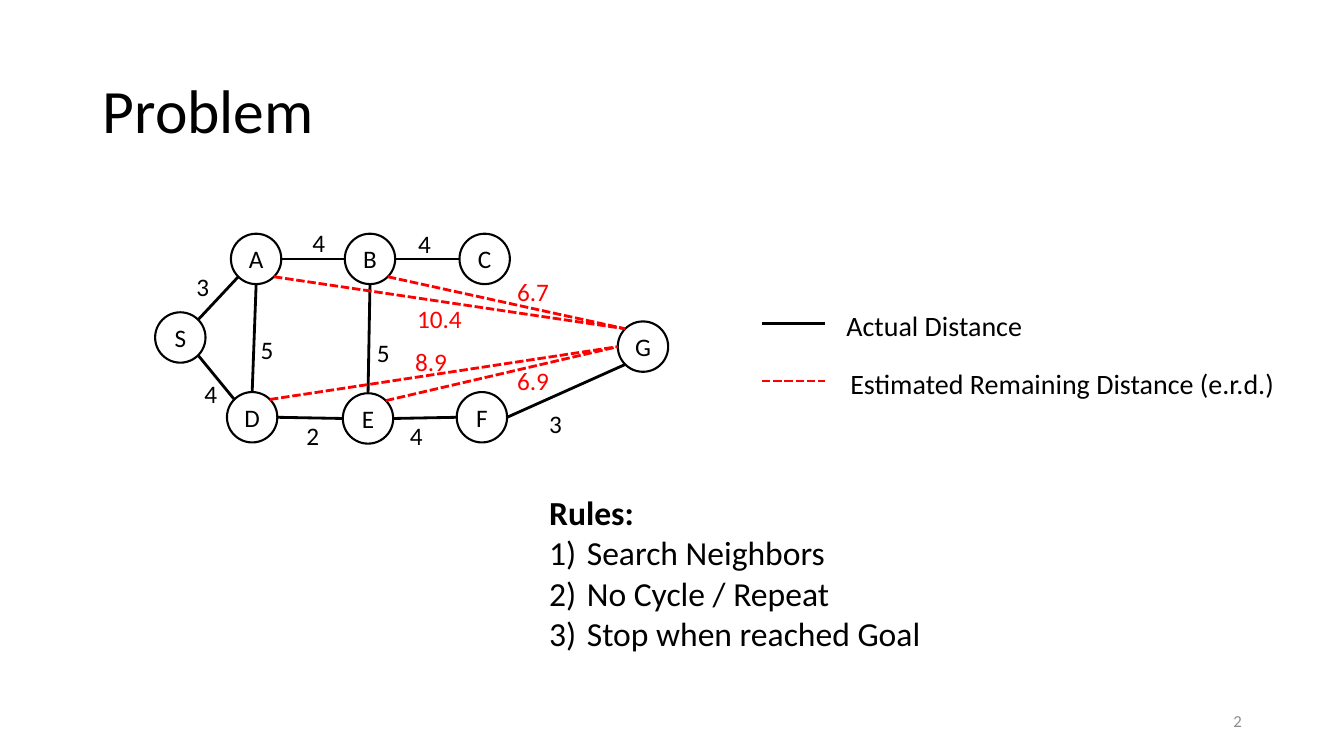
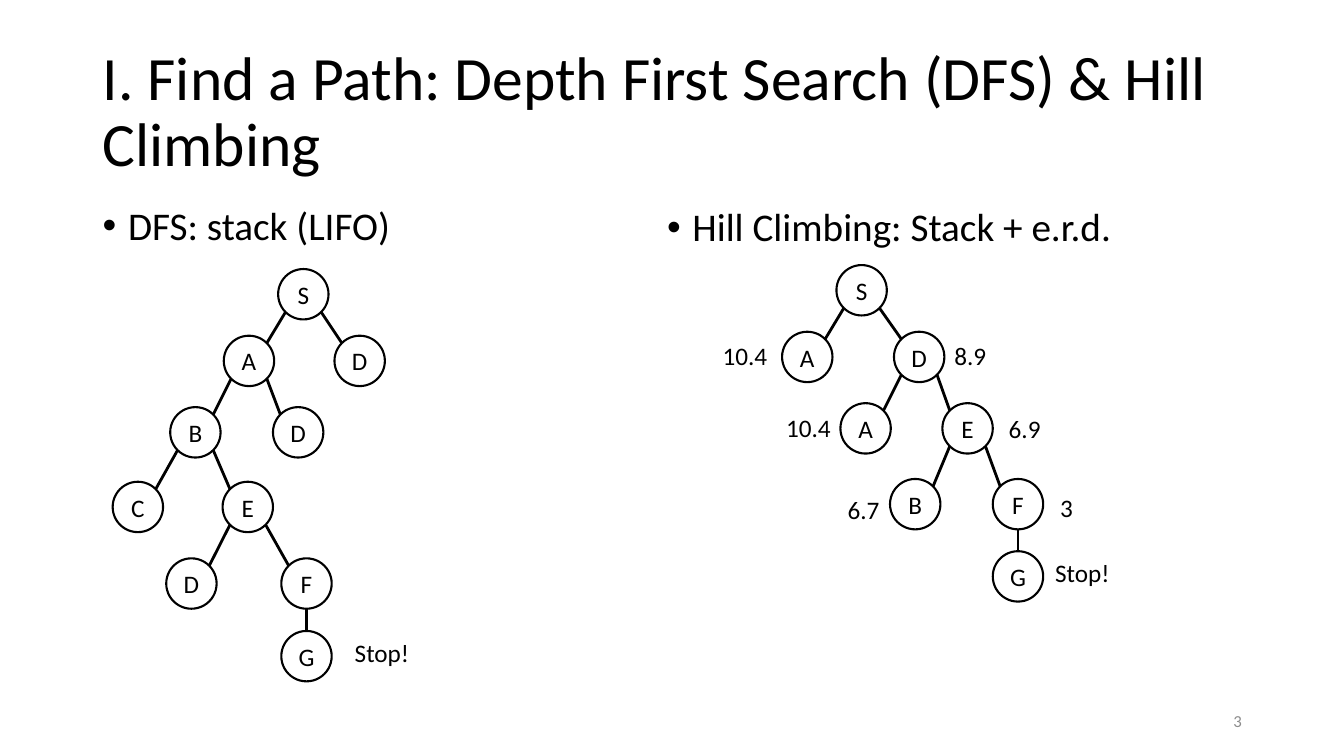
from lxml import etree
from pptx import Presentation
from pptx.dml.color import RGBColor
from pptx.enum.dml import MSO_LINE
from pptx.enum.shapes import MSO_CONNECTOR, MSO_SHAPE
from pptx.enum.text import MSO_ANCHOR as ANCHOR, MSO_AUTO_SIZE as AUTO_SIZE, PP_ALIGN as ALIGN
from pptx.oxml.ns import qn
from pptx.util import Cm, Pt

FONT = "Calibri"
BLACK, RED, GRAY = "000000", "FF0000", "8C8C8C"
NODE_SIZE = 1.27
RADIUS = NODE_SIZE / 2
DIAGONAL = RADIUS * 0.5 ** 0.5
PORTS = {
    "n": (0, -RADIUS), "s": (0, RADIUS), "e": (RADIUS, 0), "w": (-RADIUS, 0),
    "ne": (DIAGONAL, -DIAGONAL), "nw": (-DIAGONAL, -DIAGONAL),
    "se": (DIAGONAL, DIAGONAL), "sw": (-DIAGONAL, DIAGONAL),
}
LABEL_WIDTHS = {1: 0.84, 3: 1.32, 4: 1.65, 5: 1.9}

GRAPH_NODES = {
    "S": (3.91, 7.87), "A": (5.82, 5.89), "B": (8.69, 5.89), "C": (11.58, 5.89),
    "D": (5.72, 9.88), "E": (8.64, 9.91), "F": (11.51, 9.88), "G": (15.57, 8.1),
}
ACTUAL_EDGES = [
    ("S", "ne", "A", "sw"), ("S", "se", "D", "nw"), ("A", "e", "B", "w"),
    ("B", "e", "C", "w"), ("D", "e", "E", "w"), ("E", "e", "F", "w"),
    ("F", "e", "G", "sw"), ("D", "n", "A", "s"), ("E", "n", "B", "s"),
]
ESTIMATED_EDGES = [
    ("B", "se", "G", "nw"), ("A", "se", "G", "nw"),
    ("E", "ne", "G", "w"), ("D", "ne", "G", "w"),
]
ACTUAL_DISTANCES = [
    ("3", 4.7, 6.71), ("4", 4.9, 9.42), ("5", 6.32, 8.31), ("5", 9.25, 8.38),
    ("4", 7.62, 5.61), ("2", 7.47, 10.46), ("4", 10.08, 10.46),
    ("4", 10.29, 5.64), ("3", 13.59, 10.16),
]
ESTIMATED_DISTANCES = [
    ("6.7", 12.78, 6.83), ("10.4", 10.26, 7.52),
    ("8.9", 10.21, 8.61), ("6.9", 12.78, 9.09),
]
LEGEND = [
    ("Actual Distance", 8.15, 21.08, 5, BLACK, False),
    ("Estimated Remaining Distance (e.r.d.)", 9.6, 21.18, 11.3, RED, True),
]
RULES = ["Search Neighbors", "No Cycle / Repeat", "Stop when reached Goal"]

DFS_NODES = {
    "S": (7.01, 6.78), "A": (5.64, 8.46), "D1": (8.43, 8.46),
    "B": (4.29, 10.26), "D2": (6.88, 10.26), "C": (2.84, 12.14),
    "E": (5.61, 12.14), "D3": (4.19, 14.07), "F": (7.09, 14.07), "G": (7.09, 15.9),
}
DFS_CHILDREN = {"S": ["A", "D1"], "A": ["B", "D2"], "B": ["C", "E"],
                "E": ["D3", "F"], "F": ["G"]}
DFS_LABELS = [("Stop!", 8.69, 15.93)]
HILL_NODES = {
    "S": (21.08, 6.68), "A1": (19.71, 8.36), "D": (22.53, 8.36),
    "A2": (21.18, 10.16), "E": (23.75, 10.16), "B": (22.43, 12.07),
    "F": (25.02, 12.07), "G": (25.02, 13.89),
}
HILL_CHILDREN = {"S": ["A1", "D"], "D": ["A2", "E"], "E": ["B", "F"], "F": ["G"]}
HILL_LABELS = [
    ("10.4", 17.96, 8.46), ("8.9", 23.8, 8.46), ("6.9", 25.17, 10.29),
    ("10.4", 19.56, 10.26), ("3", 26.47, 12.27), ("6.7", 21.11, 12.32),
    ("Stop!", 26.34, 13.92),
]


def rgb(value):
    return RGBColor.from_string(value)


def add_run(paragraph, text, size, color=BLACK, bold=False):
    run = paragraph.add_run()
    run.text = text
    run.font.name = FONT
    run.font.size = Pt(size)
    run.font.bold = bold
    run.font.color.rgb = rgb(color)


def add_text(slide, box, text, size, color=BLACK, wrap=True,
             anchor=ANCHOR.TOP, align=ALIGN.LEFT, bold=False):
    frame = slide.shapes.add_textbox(*map(Cm, box)).text_frame
    frame.word_wrap = wrap
    frame.auto_size = AUTO_SIZE.NONE if wrap else AUTO_SIZE.SHAPE_TO_FIT_TEXT
    frame.vertical_anchor = anchor
    paragraph = frame.paragraphs[0]
    paragraph.alignment = align
    add_run(paragraph, text, size, color, bold)
    return frame


def set_bullet(paragraph, indent, tag, **attributes):
    properties = paragraph._p.get_or_add_pPr()
    properties.set("marL", str(Cm(indent)))
    properties.set("indent", str(-Cm(indent)))
    etree.SubElement(properties, qn("a:buFont"), typeface="Arial" if tag == "a:buChar" else "+mj-lt")
    etree.SubElement(properties, qn(tag), **attributes)


def add_line(slide, start, end, color=BLACK, dashed=False):
    connector = slide.shapes.add_connector(MSO_CONNECTOR.STRAIGHT, *map(Cm, start + end))
    connector.line.color.rgb = rgb(color)
    connector.line.width = Pt(2)
    if dashed:
        connector.line.dash_style = MSO_LINE.SQUARE_DOT
    etree.SubElement(connector._element.spPr, qn("a:effectLst"))


def add_node(slide, letter, corner):
    node = slide.shapes.add_shape(MSO_SHAPE.FLOWCHART_CONNECTOR,
                                  *map(Cm, corner + (NODE_SIZE, NODE_SIZE)))
    node.shadow.inherit = False
    node.fill.background()
    node.line.color.rgb = rgb(BLACK)
    node.line.width = Pt(1.5)
    frame = node.text_frame
    frame.margin_left = frame.margin_right = 0
    frame.vertical_anchor = ANCHOR.MIDDLE
    paragraph = frame.paragraphs[0]
    paragraph.alignment = ALIGN.CENTER
    add_run(paragraph, letter, 18)


def port(corner, side):
    return tuple(start + RADIUS + offset for start, offset in zip(corner, PORTS[side]))


def add_graph(slide, nodes, edges, color=BLACK, dashed=False):
    for source, source_side, target, target_side in edges:
        add_line(slide, port(nodes[source], source_side),
                 port(nodes[target], target_side), color, dashed)


def add_nodes(slide, nodes):
    for key, corner in nodes.items():
        add_node(slide, key[0], corner)


def add_labels(slide, labels, color=BLACK):
    for text, left, top in labels:
        add_text(slide, (left, top, LABEL_WIDTHS[len(text)], 1.02), text, 18, color, wrap=False)


def tree_sides(parent, child):
    if child[0] == parent[0]:
        return "s", "n"
    return ("sw", "ne") if child[0] < parent[0] else ("se", "nw")


def add_tree(slide, nodes, children, labels):
    edges = []
    for parent, branch in children.items():
        for child in branch:
            parent_side, child_side = tree_sides(nodes[parent], nodes[child])
            edges.append((parent, parent_side, child, child_side))
    add_nodes(slide, nodes)
    add_graph(slide, nodes, edges)
    add_labels(slide, labels)


def add_heading(slide, box, text):
    paragraph = add_text(slide, box, text, 28).paragraphs[0]
    paragraph.line_spacing = 0.9
    paragraph.space_before = Pt(10)
    set_bullet(paragraph, 0.64, "a:buChar", char="•")


def add_legend(slide):
    for text, line_top, left, width, color, dashed in LEGEND:
        add_line(slide, (19.2, line_top), (20.8, line_top), color, dashed)
        add_text(slide, (left, line_top - 0.5, width, 1.12), text, 20, wrap=False)


def add_rules(slide):
    frame = add_text(slide, (13.59, 12.27, 9.96, 4.37), "Rules:", 24, wrap=False, bold=True)
    for rule in RULES:
        paragraph = frame.add_paragraph()
        add_run(paragraph, rule, 24)
        set_bullet(paragraph, 0.95, "a:buAutoNum", type="arabicParenR")


def add_slide(deck, title, number):
    slide = deck.slides.add_slide(deck.slide_layouts[6])
    heading = add_text(slide, (2.34, 1.02, 29.21, 3.68), title, 44, anchor=ANCHOR.MIDDLE)
    heading.paragraphs[0].line_spacing = 0.9
    add_text(slide, (23.93, 17.65, 7.62, 1.02), number, 12, GRAY,
             anchor=ANCHOR.MIDDLE, align=ALIGN.RIGHT)
    return slide


def add_problem(deck):
    slide = add_slide(deck, "Problem", "2")
    add_nodes(slide, GRAPH_NODES)
    add_graph(slide, GRAPH_NODES, ACTUAL_EDGES)
    add_graph(slide, GRAPH_NODES, ESTIMATED_EDGES, RED, dashed=True)
    add_labels(slide, ACTUAL_DISTANCES)
    add_labels(slide, ESTIMATED_DISTANCES, RED)
    add_legend(slide)
    add_rules(slide)


def add_searches(deck):
    slide = add_slide(deck, "I. Find a Path: Depth First Search (DFS) & Hill Climbing", "3")
    add_heading(slide, (2.34, 5.08, 11.1, 12.09), "DFS: stack (LIFO)")
    add_tree(slide, DFS_NODES, DFS_CHILDREN, DFS_LABELS)
    add_heading(slide, (16.56, 5.11, 12, 12.09), "Hill Climbing: Stack + e.r.d.")
    add_tree(slide, HILL_NODES, HILL_CHILDREN, HILL_LABELS)


def main():
    deck = Presentation()
    deck.slide_width, deck.slide_height = Cm(33.87), Cm(19.05)
    add_problem(deck)
    add_searches(deck)
    deck.save("out.pptx")


main()
